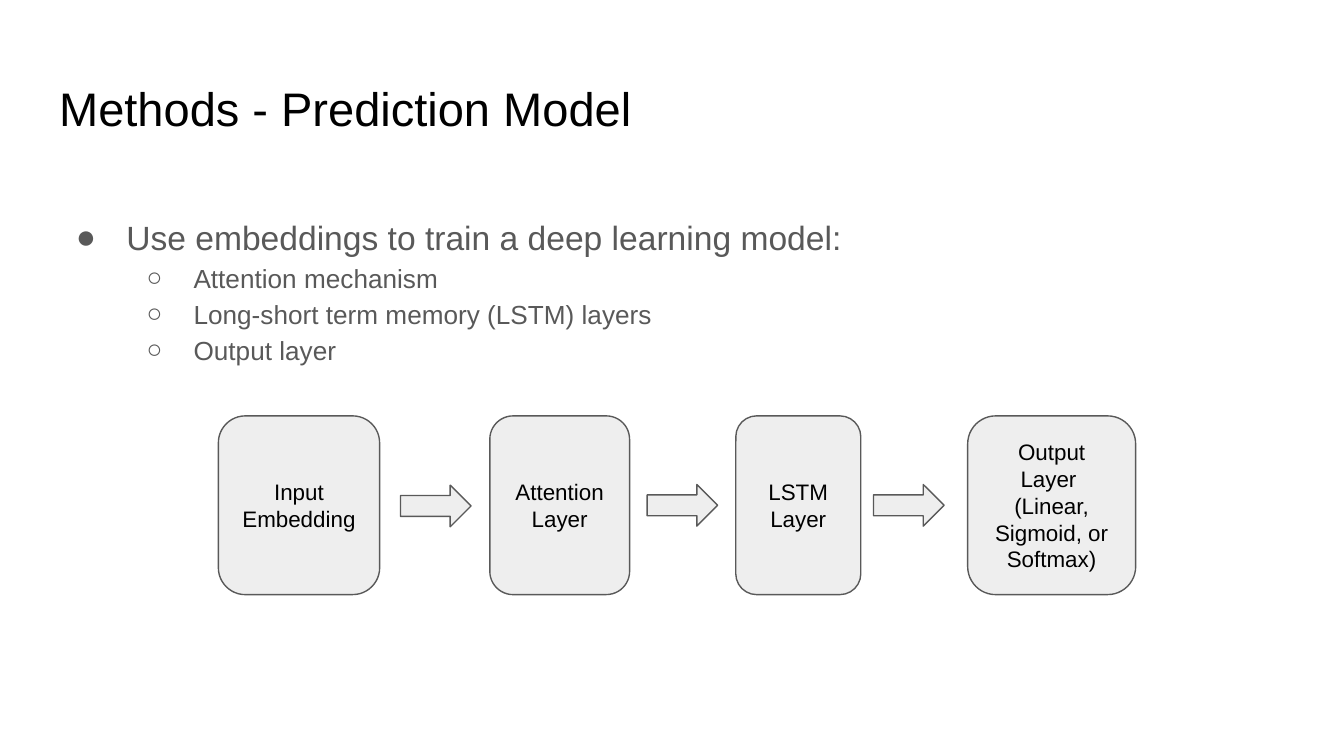
"""Build the prediction model slide with its layer pipeline."""
from lxml import etree
from pptx import Presentation
from pptx import util as u
from pptx.dml.color import RGBColor
from pptx.enum import shapes, text
from pptx.oxml.ns import qn

PX = u.Inches(1) // 200
BLACK = RGBColor(0x00, 0x00, 0x00)
GRAY = RGBColor(0x59, 0x59, 0x59)
PALE = RGBColor(0xEE, 0xEE, 0xEE)


def write(para, wording, size, color):
    span = para.add_run()
    span.text = wording
    for name, value in {"name": "Arial", "size": u.Pt(size), "bold": False}.items():
        setattr(span.font, name, value)
    span.font.color.rgb = color


def format_frame(box, anchor):
    values = {"word_wrap": True, "auto_size": text.MSO_AUTO_SIZE.NONE,
              "vertical_anchor": anchor}
    for side in ("left", "right", "top", "bottom"):
        values["margin_" + side] = 20 * PX
    for name, value in values.items():
        setattr(box.text_frame, name, value)


deck = Presentation()
deck.slide_width, deck.slide_height = 2000 * PX, 1125 * PX
page = deck.slides.add_slide(deck.slide_layouts[1])
title, body = page.placeholders

for box, top, height, anchor in (
    (title, 98, 126, text.MSO_ANCHOR.MIDDLE),
    (body, 294, 314, text.MSO_ANCHOR.TOP),
):
    place = {"left": 68, "top": top, "width": 1864, "height": height}
    for name, value in place.items():
        setattr(box, name, value * PX)
    format_frame(box, anchor)

heading = title.text_frame.paragraphs[0]
heading.alignment = text.PP_ALIGN.LEFT
write(heading, "Methods - Prediction Model", 25.2, BLACK)

points = [
    (0, "Use embeddings to train a deep learning model:"),
    (1, "Attention mechanism"),
    (1, "Long-short term memory (LSTM) layers"),
    (1, "Output layer"),
]
levels = [(100, -75, "●", 18), (200, -70, "○", 14)]
for index, (level, wording) in enumerate(points):
    margin, indent, bullet, size = levels[level]
    frame = body.text_frame
    para = frame.add_paragraph() if index else frame.paragraphs[0]
    values = {"level": level, "line_spacing": 1.15,
              "space_before": u.Pt(0), "space_after": u.Pt(0)}
    for name, value in values.items():
        setattr(para, name, value)
    write(para, wording, size, GRAY)
    props = para._p.get_or_add_pPr()
    props.set("marL", str(margin * PX))
    props.set("indent", str(indent * PX))
    tint = etree.SubElement(props, qn("a:buClr"))
    etree.SubElement(tint, qn("a:srgbClr"), val=str(GRAY))
    etree.SubElement(props, qn("a:buFont"), typeface="Arial")
    etree.SubElement(props, qn("a:buChar"), char=bullet)

ROUNDED = shapes.MSO_SHAPE.ROUNDED_RECTANGLE
ARROW = shapes.MSO_SHAPE.RIGHT_ARROW
pipeline = [
    (ROUNDED, 325, 619, 240, 266, ["Input Embedding"]),
    (ROUNDED, 729, 619, 208, 266, ["Attention Layer"]),
    (ROUNDED, 1095, 619, 186, 266, ["LSTM Layer"]),
    (ROUNDED, 1440, 619, 250, 266, ["Output Layer ", "(Linear, Sigmoid, or Softmax)"]),
    (ARROW, 596, 722, 105, 62, []),
    (ARROW, 963, 721, 105, 62, []),
    (ARROW, 1300, 721, 105, 62, []),
]
for kind, left, top, width, height, lines in pipeline:
    box = page.shapes.add_shape(kind, left * PX, top * PX, width * PX, height * PX)
    box.shadow.inherit = False
    box.fill.solid()
    box.fill.fore_color.rgb = PALE
    box.line.color.rgb = GRAY
    box.line.width = u.Pt(0.75)
    format_frame(box, text.MSO_ANCHOR.MIDDLE)
    for index, wording in enumerate(lines):
        frame = box.text_frame
        para = frame.add_paragraph() if index else frame.paragraphs[0]
        para.alignment = text.PP_ALIGN.CENTER
        write(para, wording, 12, BLACK)

deck.save("out.pptx")
